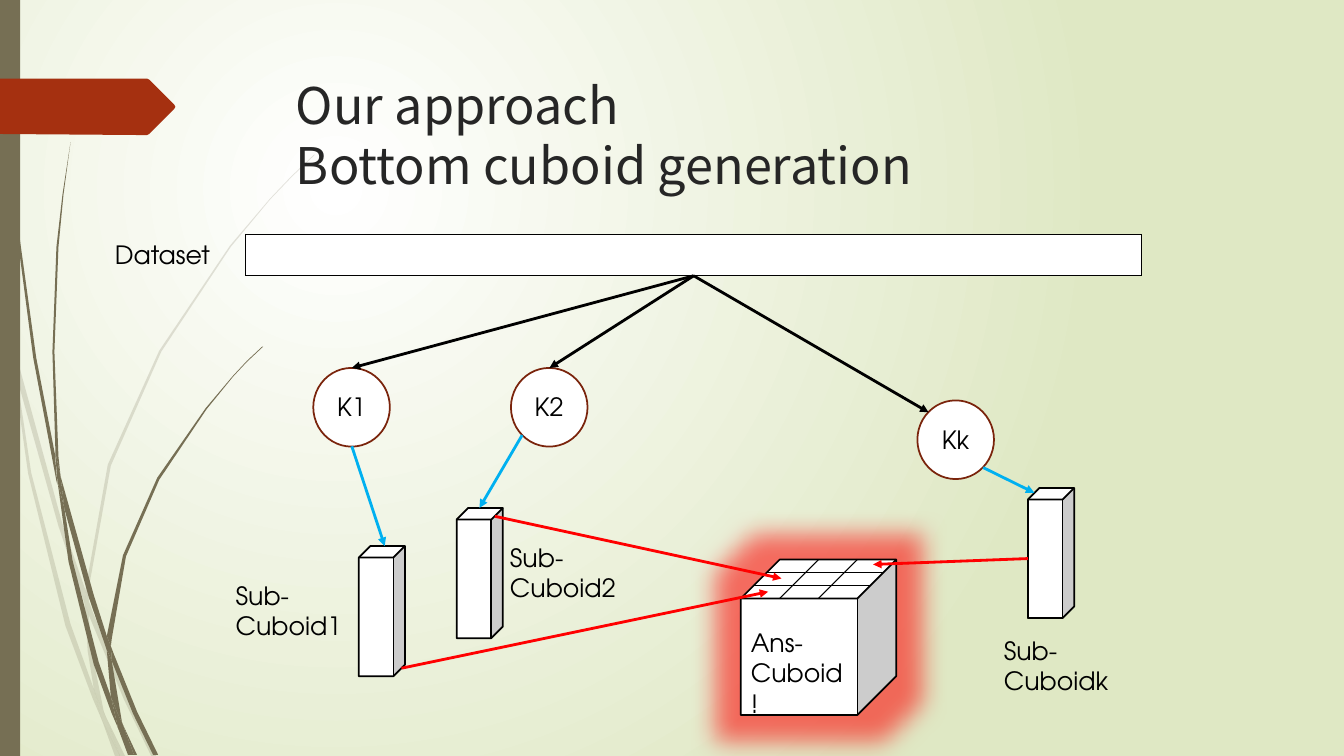
from dataclasses import dataclass

from lxml.etree import SubElement
from pptx import Presentation
from pptx.dml.color import RGBColor
from pptx.enum.shapes import MSO_CONNECTOR, MSO_SHAPE
from pptx.enum.text import PP_ALIGN
from pptx.oxml.ns import qn
from pptx.util import Pt

WHITE = RGBColor(0xFF, 0xFF, 0xFF)
BLACK = RGBColor(0x00, 0x00, 0x00)
PALE_GREEN = RGBColor(0xDF, 0xE8, 0xC4)
OLIVE = RGBColor(0x76, 0x6F, 0x54)
RUST = RGBColor(0xA5, 0x30, 0x10)
DARK_RUST = RGBColor(0x7A, 0x24, 0x0C)
CHARCOAL = RGBColor(0x26, 0x26, 0x26)
BLUE = RGBColor(0x00, 0xB0, 0xF0)
RED = RGBColor(0xFF, 0x00, 0x00)
TITLE_FONT = "Noto Sans CJK SC"
BODY_FONT = "TeX Gyre Adventor"
OUTLINE_UNIT = Pt(0.72)

FAINT_BLADES = [
    [(11, 350), (9, 322), (0, 282), (0, 299), (10, 344)],
    [(58, 522), (84, 599), (85, 586), (62, 520), (14, 345), (17, 376)],
    [(92, 607), (88, 596), (88, 610), (123, 694), (150, 750), (155, 750), (127, 692)],
    [(119, 750), (124, 750), (105, 711)],
    [(93, 683), (70, 619), (31, 469), (17, 376), (11, 350), (28, 470), (65, 621),
     (92, 693), (101, 714), (99, 707)],
    [(84, 599), (87, 646), (93, 683), (96, 692), (105, 711), (103, 706), (91, 646),
     (88, 610), (88, 608)],
    [(88, 584), (110, 462), (160, 349), (229, 245), (268, 198), (290, 175), (312, 154),
     (312, 153), (289, 175), (268, 197), (228, 244), (158, 348), (107, 461), (85, 584),
     (85, 586), (88, 596)],
    [(101, 714), (114, 750), (119, 750)],
    [(88, 608), (88, 610), (88, 596), (85, 586), (84, 599)],
    [(96, 692), (93, 683), (99, 707), (101, 714), (119, 750), (105, 711)],
]
DARK_BLADES = [
    [(7, 110), (17, 233), (33, 355), (56, 477), (57, 481), (55, 457), (55, 453), (36, 355),
     (19, 232), (8, 109), (5, 48), (4, 0), (3, 0), (4, 48)],
    [(88, 592), (106, 645), (106, 633), (106, 631), (93, 590), (60, 472), (64, 505)],
    [(113, 649), (110, 641), (111, 656), (132, 708), (152, 749), (157, 749), (136, 706)],
    [(110, 691), (98, 657), (72, 556), (64, 505), (57, 477), (68, 557), (93, 659),
     (111, 708), (117, 722), (116, 717)],
    [(60, 472), (58, 453), (54, 349), (58, 245), (63, 193), (70, 141), (62, 193),
     (56, 245), (52, 349), (55, 449)],
    [(133, 749), (136, 749), (122, 719)],
    [(57, 477), (64, 505), (60, 472), (55, 449), (55, 453)],
    [(111, 633), (125, 552), (158, 476), (205, 406), (231, 374), (245, 359), (261, 344),
     (260, 344), (245, 358), (231, 373), (204, 405), (156, 474), (122, 551), (106, 631),
     (110, 641)],
    [(117, 722), (127, 749), (131, 749)],
    [(106, 645), (110, 691), (116, 706), (122, 719), (121, 716), (111, 656), (109, 651)],
    [(106, 645), (109, 651), (111, 656), (110, 641), (106, 631), (106, 633)],
    [(116, 706), (110, 691), (116, 717), (117, 722), (130, 749), (133, 749), (122, 719)],
]
PENNANT = [(0, 78), (146, 78), (148, 79), (173, 104), (174, 106), (173, 108),
           (148, 133), (146, 134), (136, 134), (0, 133)]


@dataclass
class Box:
    left: float
    top: float
    width: float
    height: float

    def point(self, offset):
        return self.left + offset[0], self.top + offset[1]

    def inner(self, offset, width, height):
        return Box(*self.point(offset), width, height)

    def lengths(self):
        return [Pt(value) for value in (self.left, self.top, self.width, self.height)]


def paint(shape, fill, line=None):
    shape.shadow.inherit = False
    shape.fill.solid()
    shape.fill.fore_color.rgb = fill
    if line is None:
        shape.line.fill.background()
    else:
        shape.line.color.rgb = line
        shape.line.width = Pt(1.25)
    return shape


def add_block(page, kind, box, fill, line=None):
    return paint(page.shapes.add_shape(kind, *box.lengths()), fill, line)


def add_outline(page, box, points, fill):
    builder = page.shapes.build_freeform(*points[0], scale=OUTLINE_UNIT)
    builder.add_line_segments(points[1:], close=True)
    return paint(builder.convert_to_shape(Pt(box.left), Pt(box.top)), fill)


def add_line(page, start, end, color, width, arrow=False):
    line = page.shapes.add_connector(MSO_CONNECTOR.STRAIGHT, *map(Pt, (*start, *end)))
    line.line.color.rgb = color
    line.line.width = Pt(width)
    properties = line._element.spPr
    if arrow:
        SubElement(properties.find(qn("a:ln")), qn("a:tailEnd"), type="triangle")
    SubElement(properties, qn("a:effectLst"))


def add_run(para, text, size=18, font=BODY_FONT, color=BLACK):
    span = para.add_run()
    span.text = text
    span.font.size = Pt(size)
    span.font.name = font
    span.font.color.rgb = color


def add_text_box(page, box):
    frame = page.shapes.add_textbox(*box.lengths()).text_frame
    frame.word_wrap = True
    return frame.paragraphs[0]


def draw_backdrop(page, box):
    fill = page.background.fill
    fill.gradient()
    for stop, color, position in zip(fill.gradient_stops, (WHITE, PALE_GREEN), (0, 1)):
        stop.color.rgb = color
        stop.position = position
    gradient = page.background._cSld.find(".//" + qn("a:gradFill"))
    gradient.remove(gradient.find(qn("a:lin")))
    circle = SubElement(gradient, qn("a:path"))
    circle.set("path", "circle")
    SubElement(circle, qn("a:fillToRect"), l="50000", t="50000", r="100000", b="100000")
    for points in FAINT_BLADES:
        blade = add_outline(page, box, points, OLIVE)
        color = blade._element.spPr.find(qn("a:solidFill"))[0]
        SubElement(color, qn("a:alpha"), val="20000")
    for points in DARK_BLADES:
        add_outline(page, box, points, OLIVE)
    add_block(page, MSO_SHAPE.RECTANGLE, box.inner((0, 0), 14.4, box.height), OLIVE)
    add_outline(page, box, PENNANT, RUST)


def draw_title(page, box, lines):
    para = add_text_box(page, box)
    for index, line in enumerate(lines):
        if index:
            para.add_line_break()
        add_run(para, line, 36, TITLE_FONT, CHARCOAL)


def draw_dataset(page, box):
    add_run(add_text_box(page, box.inner((0, 0), 84, box.height)), "Dataset")
    bar = box.inner((100.5, 0), box.width - 100.5, box.height)
    table = page.shapes.add_table(1, 1, *bar.lengths()).table
    cell = table.cell(0, 0)
    properties = cell._tc.get_or_add_tcPr()
    for edge in ("lnL", "lnR", "lnT", "lnB"):
        border = SubElement(properties, qn("a:" + edge), w=str(Pt(1)))
        SubElement(SubElement(border, qn("a:solidFill")), qn("a:srgbClr"), val=str(BLACK))
    cell.fill.solid()
    cell.fill.fore_color.rgb = WHITE
    return bar.point((bar.width / 2, bar.height))


def draw_answer(page, box):
    cube = add_block(page, MSO_SHAPE.CUBE, box, WHITE, BLACK)
    glow = SubElement(cube._element.spPr.find(qn("a:effectLst")), qn("a:glow"), rad=str(Pt(36)))
    color = SubElement(glow, qn("a:srgbClr"), val=str(RED))
    SubElement(color, qn("a:alpha"), val="55000")
    depth = box.width / 4
    face = box.width - depth
    for third in (1 / 3, 2 / 3):
        x, y = face * third, depth * third
        add_line(page, box.point((x, depth)), box.point((x + depth, 0)), BLACK, 0.75)
        add_line(page, box.point((depth - y, y)), box.point((depth - y + face, y)), BLACK, 0.75)
    add_run(add_text_box(page, box.inner((0, 45), 82, 51)), "Ans-Cuboid!")


def draw_branch(page, box, source, answer, branch):
    name, entry, leave, cube, arrive, label, exit_point, goal = branch
    add_block(page, MSO_SHAPE.OVAL, box, WHITE, DARK_RUST)
    para = add_text_box(page, box.inner((7, 13.5), 40.5, 29))
    para.alignment = PP_ALIGN.CENTER
    add_run(para, "K" + name)
    add_block(page, MSO_SHAPE.CUBE, box.inner(cube, 33, 93), WHITE, BLACK)
    add_run(add_text_box(page, box.inner(label, 114, 51)), "Sub-Cuboid" + name)
    add_line(page, source, box.point(entry), BLACK, 2, True)
    add_line(page, box.point(leave), box.point(arrive), BLUE, 2, True)
    add_line(page, box.point(exit_point), answer.point(goal), RED, 2, True)


BRANCHES = [
    ((223.8, 262.8), ("1", (27.5, 0), (27.5, 56), (32.5, 127.2), (51, 127.2), (-62.5, 148.3),
                      (63, 214.5), (19.5, 23))),
    ((365, 262.8), ("2", (27.5, 0), (8, 48), (-38.8, 100), (-22.5, 100), (-7.8, 121),
                    (-11.5, 106), (29, 13.5))),
    ((655.3, 286), ("k", (8, 8.5), (47, 48), (79, 62.5), (83.5, 66), (54.7, 164),
                    (79, 113), (94.5, 3.5))),
]

deck = Presentation()
deck.slide_width, deck.slide_height = Pt(960), Pt(540)
page = deck.slides.add_slide(deck.slide_layouts[6])
answer_box = Box(529.2, 399.7, 111, 111)
draw_backdrop(page, Box(0, 0, 960, 540))
draw_title(page, Box(204.3, 49.2, 702, 101), ["Our approach", "Bottom cuboid generation"])
dataset_exit = draw_dataset(page, Box(75, 167.5, 740.5, 29.5))
draw_answer(page, answer_box)
for corner, branch in BRANCHES:
    draw_branch(page, Box(*corner, 54.7, 56.2), dataset_exit, answer_box, branch)
deck.save("out.pptx")
